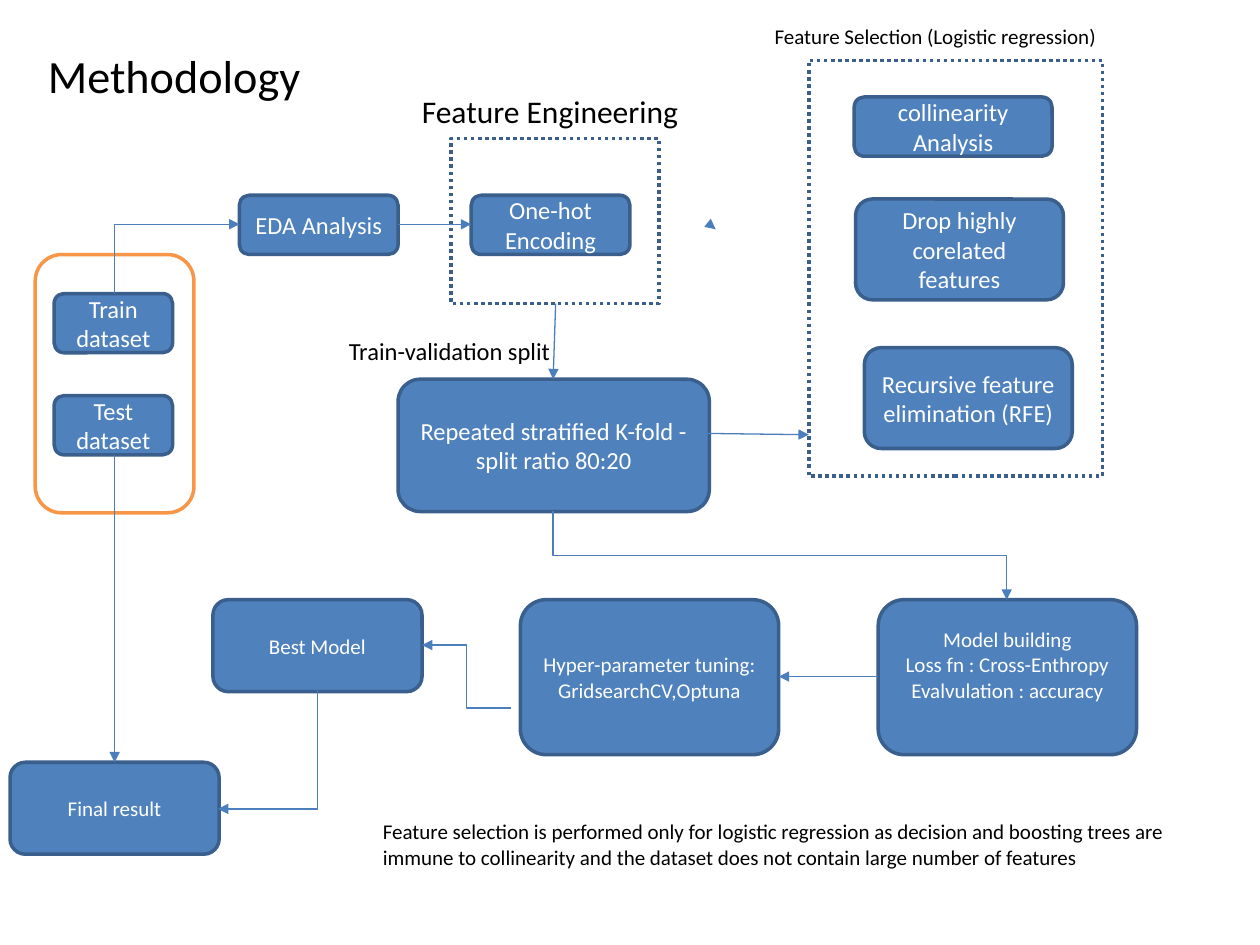
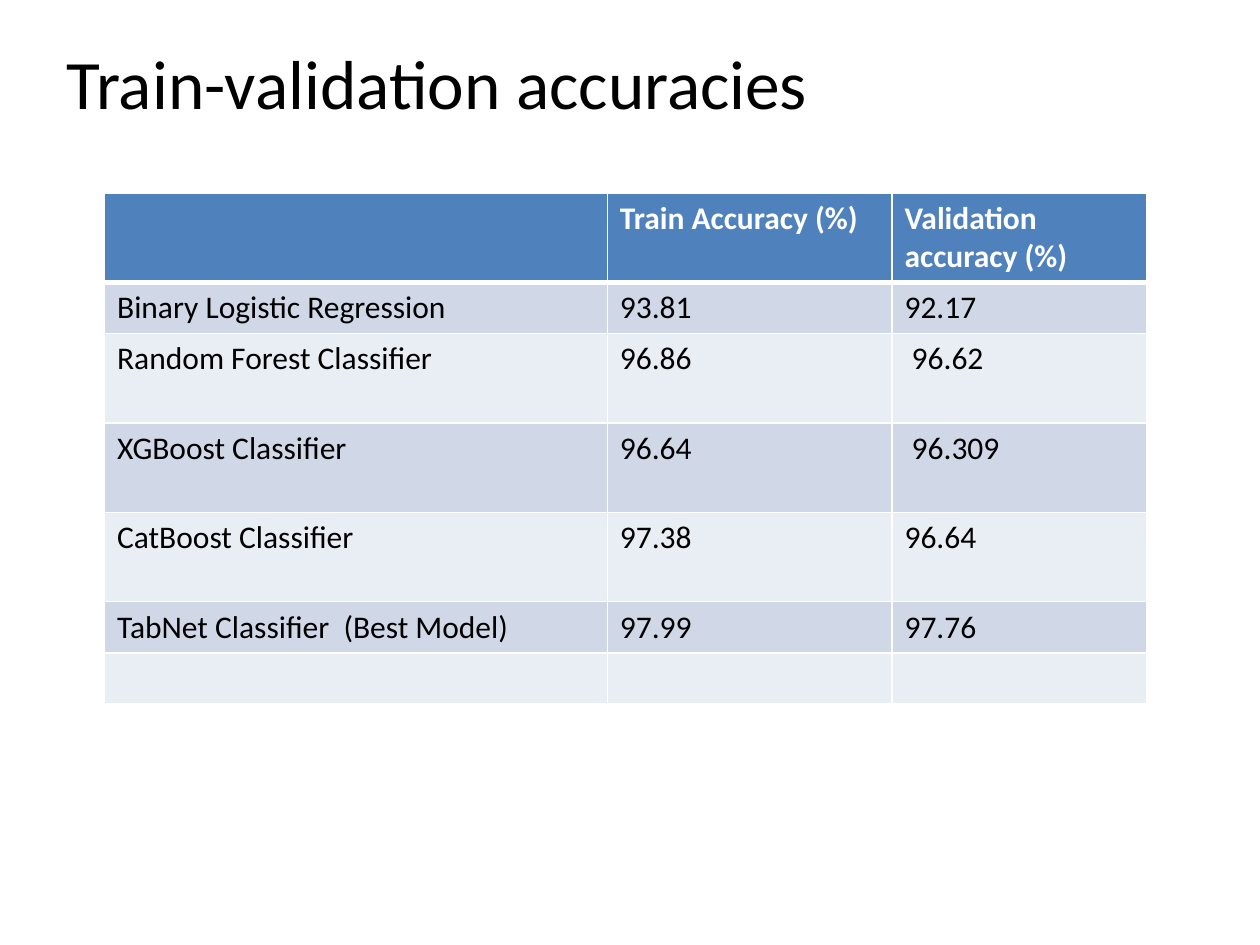
from lxml import etree
from pptx import Presentation
from pptx.dml.color import RGBColor
from pptx.enum.dml import MSO_LINE
from pptx.enum.shapes import MSO_CONNECTOR, MSO_SHAPE
from pptx.enum.text import MSO_ANCHOR, MSO_AUTO_SIZE, PP_ALIGN
from pptx.oxml.ns import qn
from pptx.util import Inches, Pt

ROUNDED, RECT = MSO_SHAPE.ROUNDED_RECTANGLE, MSO_SHAPE.RECTANGLE
STRAIGHT, ELBOW = MSO_CONNECTOR.STRAIGHT, MSO_CONNECTOR.ELBOW
DOTTED = MSO_LINE.ROUND_DOT
LEFT, CENTER = PP_ALIGN.LEFT, PP_ALIGN.CENTER
TOP, MIDDLE = MSO_ANCHOR.TOP, MSO_ANCHOR.MIDDLE

FONT = "Calibri"
BLACK, WHITE = "000000", "FFFFFF"
BLUE, OUTLINE, ARROW, ORANGE = "4F81BD", "3A5F8C", "4B7EBC", "F79646"
BANDS = ["E9EDF4", "D0D8E8"]

rgb = RGBColor.from_string


def write(frame, text, size, color=BLACK, align=LEFT, bold=False, spacing=None):
    frame.text = text
    frame.word_wrap = True
    for paragraph in frame.paragraphs:
        paragraph.alignment = align
        paragraph.line_spacing = spacing
        for run in paragraph.runs:
            run.font.name, run.font.size, run.font.bold = FONT, Pt(size), bold
            run.font.color.rgb = rgb(color)


prs = Presentation()
prs.slide_width, prs.slide_height = Inches(10), Inches(7.5)

# Titles of both slides
titles = [
    ("Methodology", 26.4, 0.8, (0.28, 0.36, 8.94, 0.59)),
    ("Train-validation accuracies", 39.6, 0.9, (0.43, 0.29, 7.25, 0.82)),
]
for heading, size, spacing, area in titles:
    title = prs.slides.add_slide(prs.slide_layouts[5]).shapes.title
    title.left, title.top, title.width, title.height = map(Inches, area)
    frame = title.text_frame
    write(frame, heading, size, spacing=spacing)
    frame.auto_size = MSO_AUTO_SIZE.NONE
    frame.vertical_anchor = TOP
    frame.margin_left = frame.margin_right = Inches(0.1)
    frame.margin_top = frame.margin_bottom = Inches(0.1)
methodology, accuracies = prs.slides

# Group frames: datasets, feature engineering, feature selection
groups = [
    (ROUNDED, (0.28, 2.02, 1.26, 2.05), ORANGE, None),
    (RECT, (3.58, 1.1, 1.65, 1.31), OUTLINE, DOTTED),
    (RECT, (6.42, 0.48, 2.33, 3.3), OUTLINE, DOTTED),
]
for outline, area, color, dash in groups:
    group = methodology.shapes.add_shape(outline, *map(Inches, area))
    group.shadow.inherit = False
    group.fill.background()
    group.line.color.rgb = rgb(color)
    group.line.width = Pt(2)
    group.line.dash_style = dash

# Process steps
steps = [
    ("Train dataset", 14, (0.43, 2.33, 0.94, 0.47)),
    ("Test dataset", 14, (0.43, 3.14, 0.94, 0.47)),
    ("EDA Analysis", 14, (1.9, 1.55, 1.26, 0.47)),
    ("One-hot Encoding", 14, (3.74, 1.55, 1.26, 0.47)),
    ("collinearity Analysis", 14, (6.78, 0.77, 1.57, 0.47)),
    ("Drop highly corelated features", 14, (6.79, 1.58, 1.65, 0.8)),
    ("Recursive feature elimination (RFE)", 14, (6.86, 2.76, 1.65, 0.8)),
    ("Repeated stratified K-fold - split ratio 80:20", 14, (3.16, 3.01, 2.47, 1.05)),
    ("Model building\nLoss fn : Cross-Enthropy\nEvalvulation : accuracy", 12,
     (6.97, 4.76, 2.05, 1.23)),
    ("Hyper-parameter tuning:\nGridsearchCV,Optuna", 12, (4.13, 4.76, 2.05, 1.23)),
    ("Best Model", 12, (1.69, 4.76, 1.66, 0.73)),
    ("Final result", 12, (0.08, 6.05, 1.66, 0.73)),
]
for label, size, area in steps:
    step = methodology.shapes.add_shape(ROUNDED, *map(Inches, area))
    step.shadow.inherit = False
    step.fill.solid()
    step.fill.fore_color.rgb = rgb(BLUE)
    step.line.color.rgb = rgb(OUTLINE)
    step.line.width = Pt(2)
    write(step.text_frame, label, size, WHITE, CENTER)
    step.text_frame.vertical_anchor = MIDDLE
    if label.startswith("Model building"):
        step.text_frame.margin_bottom = Inches(0.25)

# Captions and the closing remark
captions = [
    ("Feature Engineering", 18, (3.25, 0.68, 2.33, 0.4)),
    ("Feature Selection (Logistic regression)", 12, (6.05, 0.14, 2.96, 0.3)),
    ("Train-validation split", 14, (2.67, 2.62, 2.33, 0.34)),
    ("Feature selection is performed only for logistic regression as decision and "
     "boosting trees are immune to collinearity and the dataset does not contain "
     "large number of features", 12, (2.94, 6.45, 6.95, 0.5)),
]
for caption, size, area in captions:
    write(methodology.shapes.add_textbox(*map(Inches, area)).text_frame, caption, size)

# Arrows; a turn gives preset, degrees and flips for elbows that leave vertically
flows = [
    (STRAIGHT, (3.16, 1.78), (3.74, 1.78), None),
    (STRAIGHT, (5.6, 3.44), (6.42, 3.45), None),
    (STRAIGHT, (6.97, 5.37), (6.18, 5.37), None),
    (STRAIGHT, (0.91, 3.61), (0.91, 6.05), None),
    (STRAIGHT, (4.41, 2.41), (4.39, 3.01), None),
    (STRAIGHT, (5.63, 1.78), (5.68, 1.82), None),
    (ELBOW, (4.06, 5.62), (3.35, 5.12), None),
    (ELBOW, (0.91, 2.33), (1.9, 1.78), ("bentConnector2", 90, "HV")),
    (ELBOW, (2.52, 5.48), (1.73, 6.42), ("bentConnector2", 90, "")),
    (ELBOW, (4.39, 4.06), (7.99, 4.76), ("bentConnector3", 270, "H")),
]
for kind, start, end, turn in flows:
    flow = methodology.shapes.add_connector(kind, *map(Inches, start + end))
    flow.line.color.rgb = rgb(ARROW)
    flow.line.width = Pt(0.75)
    properties = flow._element.spPr
    etree.SubElement(properties.find(qn("a:ln")), qn("a:tailEnd"), type="triangle")
    etree.SubElement(properties, qn("a:effectLst"))
    if turn:
        preset, degrees, flips = turn
        (x1, y1), (x2, y2) = start, end
        width, height = abs(y2 - y1), abs(x2 - x1)
        flow.left = Inches((x1 + x2 - width) / 2)
        flow.top = Inches((y1 + y2 - height) / 2)
        flow.width, flow.height = Inches(width), Inches(height)
        properties.find(qn("a:prstGeom")).set("prst", preset)
        transform = properties.find(qn("a:xfrm"))
        transform.set("rot", str(degrees * 60000))
        for axis in "HV":
            transform.set("flip" + axis, str(int(axis in flips)))

# Accuracy table
scores = [
    ("", "Train Accuracy (%)", "Validation accuracy (%)"),
    ("Binary Logistic Regression", "93.81", "92.17"),
    ("Random Forest Classifier", "96.86", " 96.62"),
    ("XGBoost Classifier", "96.64", " 96.309"),
    ("CatBoost Classifier", "97.38", "96.64"),
    ("TabNet Classifier  (Best Model)", "97.99", "97.76"),
    ("", "", ""),
]
row_heights = [0.71, 0.4, 0.71, 0.71, 0.71, 0.4, 0.4]
table = accuracies.shapes.add_table(
    len(scores), 3, Inches(0.83), Inches(1.53), Inches(8.27), Inches(4.04)).table
for column, width in zip(table.columns, [3.99, 2.26, 2.02]):
    column.width = Inches(width)
for r, (row, height) in enumerate(zip(scores, row_heights)):
    table.rows[r].height = Inches(height)
    header = r == 0
    for c, value in enumerate(row):
        cell = table.cell(r, c)
        write(cell.text_frame, value, 18, WHITE if header else BLACK, bold=header)
        borders = cell._tc.get_or_add_tcPr()
        for side in "LRTB":
            heavy = (header and side == "B") or (r == 1 and side == "T")
            edge = etree.SubElement(borders, qn("a:ln" + side),
                                    w=str(Pt(3 if heavy else 1)))
            paint = etree.SubElement(edge, qn("a:solidFill"))
            etree.SubElement(paint, qn("a:srgbClr"), val=WHITE)
        cell.fill.solid()
        cell.fill.fore_color.rgb = rgb(BLUE if header else BANDS[r % 2])

prs.save("out.pptx")
